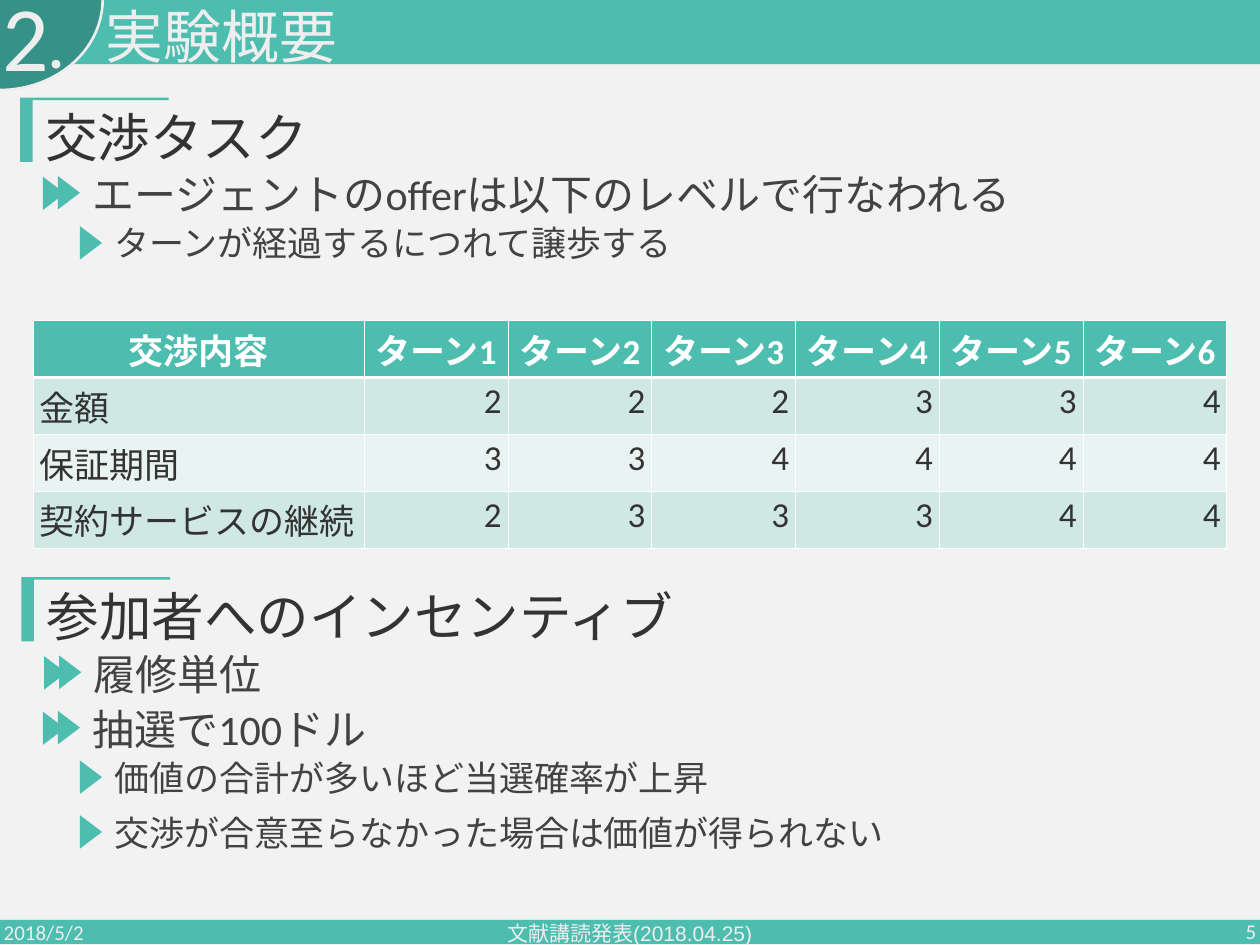
from dataclasses import dataclass

from lxml import etree
from pptx import Presentation
from pptx.dml.color import RGBColor
from pptx.enum.lang import MSO_LANGUAGE_ID
from pptx.enum.shapes import MSO_SHAPE
from pptx.enum.text import MSO_ANCHOR, MSO_AUTO_SIZE, PP_ALIGN
from pptx.oxml.ns import qn
from pptx.shapes.autoshape import Shape
from pptx.slide import Slide
from pptx.table import _Cell
from pptx.text.text import TextFrame
from pptx.util import Pt

RECTANGLE, ARC = MSO_SHAPE.RECTANGLE, MSO_SHAPE.ARC
OVAL, TRIANGLE = MSO_SHAPE.OVAL, MSO_SHAPE.ISOSCELES_TRIANGLE
LEFT, CENTER, RIGHT = PP_ALIGN.LEFT, PP_ALIGN.CENTER, PP_ALIGN.RIGHT
TOP, MIDDLE = MSO_ANCHOR.TOP, MSO_ANCHOR.MIDDLE
JAPANESE = MSO_LANGUAGE_ID.JAPANESE

TEAL, DARK_TEAL, LIGHT = "4DBDB0", "369287", "EEEEEE"
BACKGROUND, WHITE = "F2F2F2", "FFFFFF"
HEADING_TEXT, BULLET_TEXT = "333333", "424242"
ROW_FILLS = ("D0E8E4", "E9F4F2")


@dataclass(frozen=True)
class TextStyle:
    size: float
    color: str
    font: str = "Calibri"
    align: PP_ALIGN = LEFT
    anchor: MSO_ANCHOR = TOP
    bold: bool = False
    line_spacing: float | None = 0.9
    space_before: float = 20


@dataclass(frozen=True)
class Heading:
    text: str
    left: float
    top: float


@dataclass(frozen=True)
class Level:
    style: TextStyle
    width: float
    height: float
    markers: tuple[tuple[float, float], ...]


@dataclass(frozen=True)
class Bullet:
    text: str
    left: float
    top: float
    level: Level


@dataclass(frozen=True)
class FooterItem:
    text: str
    left: float
    top: float
    width: float
    align: PP_ALIGN
    font: str = "Calibri"


HEADING_STYLE = TextStyle(60, HEADING_TEXT)
MAIN = Level(TextStyle(48, BULLET_TEXT), 1309.7, 78.5, ((-56.2, 12.6), (-38.9, 11.9)))
DETAIL = Level(TextStyle(40, BULLET_TEXT), 1270.8, 67, ((-38.9, 9.4),))

HEADINGS = (
    Heading("交渉タスク", 23, 111.6),
    Heading("参加者へのインセンティブ", 24.5, 659.5),
)
BULLETS = (
    Bullet("エージェントのofferは以下のレベルで行なわれる", 98.6, 195.8, MAIN),
    Bullet("ターンが経過するにつれて譲歩する", 123.8, 255.6, DETAIL),
    Bullet("履修単位", 100.1, 743.8, MAIN),
    Bullet("抽選で100ドル", 98.6, 807.1, MAIN),
    Bullet("価値の合計が多いほど当選確率が上昇", 123.8, 866.2, DETAIL),
    Bullet("交渉が合意至らなかった場合は価値が得られない", 123.8, 928.8, DETAIL),
)
FOOTER = (
    FooterItem("2018/5/2", -2.9, 1036.1, 324, LEFT),
    FooterItem("文献講読発表(2018.04.25)", 476.6, 1038.2, 486, CENTER, "Arial"),
    FooterItem("5", 1118.9, 1035.4, 324, RIGHT),
)
OFFERS = {
    "金額": (2, 2, 2, 3, 3, 4),
    "保証期間": (3, 3, 4, 4, 4, 4),
    "契約サービスの継続": (2, 3, 3, 3, 4, 4),
}


def rgb(color: str) -> RGBColor:
    return RGBColor.from_string(color)


def write(frame: TextFrame, text: str, style: TextStyle) -> None:
    frame.text = text
    paragraph = frame.paragraphs[0]
    paragraph.alignment = style.align
    paragraph.line_spacing = style.line_spacing
    paragraph.space_before = Pt(style.space_before)
    font = paragraph.runs[0].font
    font.size = Pt(style.size)
    font.name = style.font
    font.bold = style.bold
    font.color.rgb = rgb(style.color)
    font.language_id = JAPANESE


def add_text(slide: Slide, text: str, left: float, top: float, width: float,
             height: float, style: TextStyle) -> None:
    box = slide.shapes.add_textbox(Pt(left), Pt(top), Pt(width), Pt(height))
    box.text_frame.word_wrap = True
    box.text_frame.vertical_anchor = style.anchor
    write(box.text_frame, text, style)


def add_filled(shapes, kind: MSO_SHAPE, left: float, top: float, width: float,
               height: float, color: str = TEAL, rotation: float = 0) -> Shape:
    shape = shapes.add_shape(kind, Pt(left), Pt(top), Pt(width), Pt(height))
    shape.shadow.inherit = False
    shape.fill.solid()
    shape.fill.fore_color.rgb = rgb(color)
    shape.line.fill.background()
    shape.rotation = rotation
    return shape


def add_frame(slide: Slide) -> None:
    add_filled(slide.shapes, RECTANGLE, 0, 1051.2, 1440, 27.4)
    add_filled(slide.shapes, RECTANGLE, 0, 0, 1440, 73.4)
    corner = add_filled(slide.shapes, ARC, -103.7, -118.1, 206.6, 235.4, DARK_TEAL, 90)
    corner.line.color.rgb = rgb(LIGHT)
    corner.line.width = Pt(3)
    add_filled(slide.shapes, OVAL, 59, 68.4, 10, 10, LIGHT)
    for item in FOOTER:
        style = TextStyle(24, LIGHT, item.font, item.align, MIDDLE,
                          line_spacing=None, space_before=0)
        add_text(slide, item.text, item.left, item.top, item.width, 57.6, style)


def add_title(slide: Slide) -> None:
    add_text(slide, "2", -4.3, -12.2, 507.6, 111.6, TextStyle(105, LIGHT))
    title = slide.shapes.title
    title.left, title.top, title.width, title.height = map(Pt, (113.8, 5.8, 1049, 62.6))
    title.text_frame.auto_size = MSO_AUTO_SIZE.NONE
    title.text_frame.vertical_anchor = TOP
    write(title.text_frame, "実験概要", TextStyle(66, LIGHT))
    slide.shapes.element.append(title.element)


def add_heading(slide: Slide, heading: Heading) -> None:
    group = slide.shapes.add_group_shape()
    add_filled(group.shapes, RECTANGLE, heading.left, heading.top + 2.2, 14.4, 71.3)
    add_filled(group.shapes, RECTANGLE, heading.left, heading.top, 169.9, 2.9)
    add_text(slide, heading.text, heading.left + 21.6, heading.top + 13, 1362, 110,
             HEADING_STYLE)


def add_bullet(slide: Slide, bullet: Bullet) -> None:
    level = bullet.level
    shapes = slide.shapes.add_group_shape().shapes if len(level.markers) > 1 else slide.shapes
    for across, down in level.markers:
        add_filled(shapes, TRIANGLE, bullet.left + across, bullet.top + down,
                   38.2, 25.2, rotation=90)
    add_text(slide, bullet.text, bullet.left, bullet.top, level.width, level.height,
             level.style)


def set_borders(cell: _Cell, top: float, bottom: float) -> None:
    properties = cell._tc.get_or_add_tcPr()
    for side, width in (("L", 1), ("R", 1), ("T", top), ("B", bottom)):
        line = etree.SubElement(properties, qn(f"a:ln{side}"), w=str(Pt(width)))
        fill = etree.SubElement(line, qn("a:solidFill"))
        etree.SubElement(fill, qn("a:srgbClr"), val=WHITE)


def add_offer_table(slide: Slide) -> None:
    rows = [("交渉内容", *(f"ターン{turn}" for turn in range(1, 7)))]
    rows += [(topic, *levels) for topic, levels in OFFERS.items()]
    table = slide.shapes.add_table(len(rows), len(rows[0]), Pt(38.2), Pt(366.5),
                                   Pt(1364), Pt(260)).table
    for index, column in enumerate(table.columns):
        column.width = Pt(164.3 if index else 378)
    for row_index, values in enumerate(rows):
        table.rows[row_index].height = Pt(65)
        header = row_index == 0
        for column_index, value in enumerate(values):
            cell = table.cell(row_index, column_index)
            set_borders(cell, 3 if row_index == 1 else 1, 3 if header else 1)
            cell.fill.solid()
            cell.fill.fore_color.rgb = rgb(TEAL if header else ROW_FILLS[(row_index - 1) % 2])
            align = CENTER if header else RIGHT if column_index else LEFT
            style = TextStyle(40, WHITE if header else HEADING_TEXT, align=align,
                              bold=header, line_spacing=None, space_before=0)
            write(cell.text_frame, str(value), style)


def main() -> None:
    presentation = Presentation()
    presentation.slide_width, presentation.slide_height = Pt(1440), Pt(1080)
    slide = presentation.slides.add_slide(presentation.slide_layouts[5])
    slide.background.fill.solid()
    slide.background.fill.fore_color.rgb = rgb(BACKGROUND)
    add_frame(slide)
    add_title(slide)
    for heading in HEADINGS:
        add_heading(slide, heading)
    for bullet in BULLETS:
        add_bullet(slide, bullet)
    add_offer_table(slide)
    presentation.save("out.pptx")


if __name__ == "__main__":
    main()
